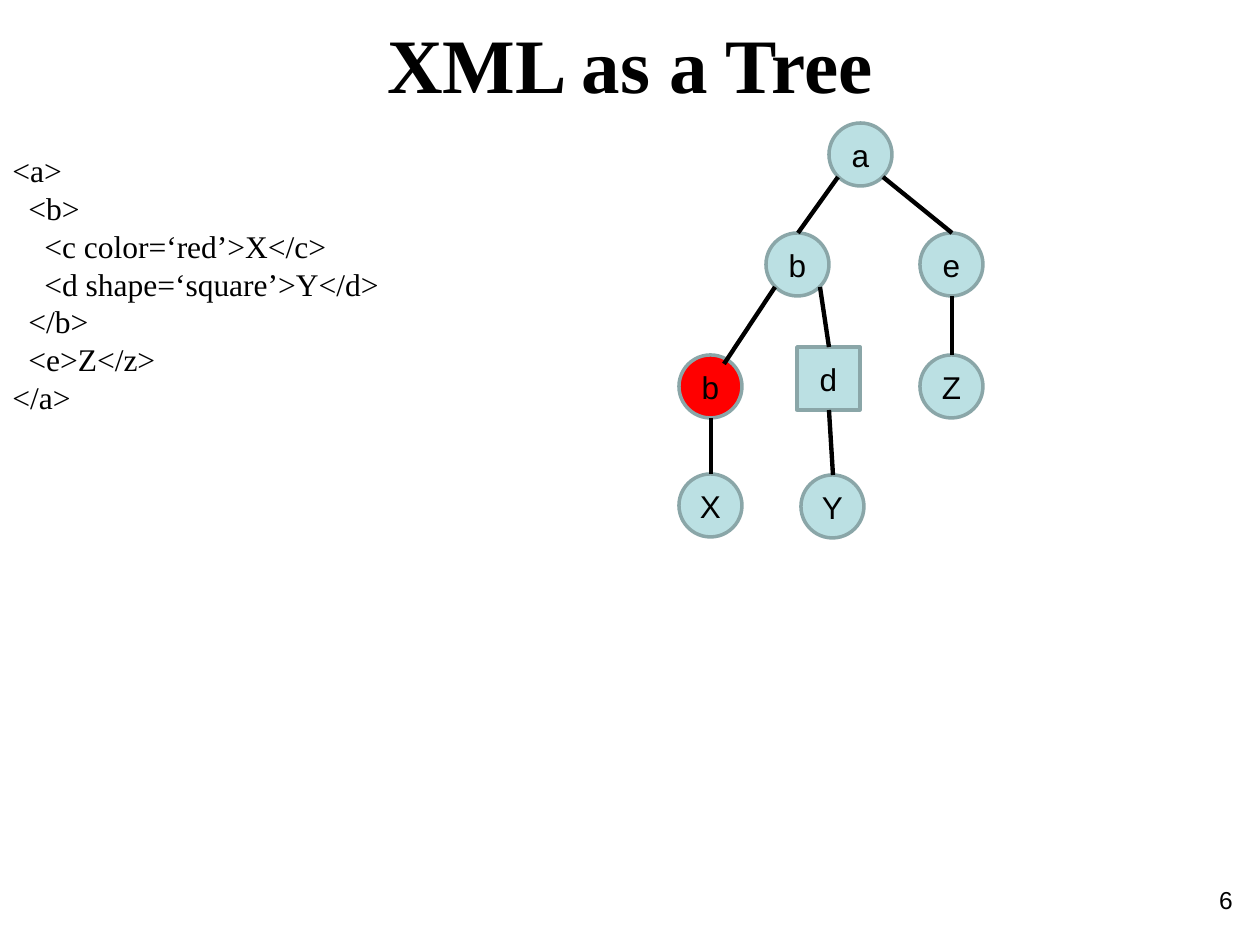
from lxml import etree
from pptx import Presentation
from pptx.dml.color import RGBColor
from pptx.enum import shapes, text
from pptx.oxml import ns
from pptx.util import Emu, Pt

BLACK = RGBColor(0, 0, 0)
TEAL = RGBColor(0xBB, 0xE0, 0xE3)
RED = RGBColor(0xFF, 0, 0)
EDGE = RGBColor(0x8A, 0xA6, 0xA8)
SERIF, SANS = "Times New Roman", "Arial"
SIZE = 63   # node width
STEP = 16   # code indent per level

OVAL, RECT = shapes.MSO_SHAPE.OVAL, shapes.MSO_SHAPE.RECTANGLE

# Nodes: key, label, left, top, form, fill
NODES = [
    ("a", "a", 150, 0, OVAL, TEAL),
    ("b", "b", 87, 110, OVAL, TEAL),
    ("e", "e", 241, 110, OVAL, TEAL),
    ("z", "Z", 241, 232, OVAL, TEAL),
    ("c", "b", 0, 232, OVAL, RED),
    ("x", "X", 0, 351, OVAL, TEAL),
    ("y", "Y", 122, 352, OVAL, TEAL),
    ("d", "d", 118, 224, RECT, TEAL),
]
# Points on a node, as shares of its size
SITES = {"n": (0.5, 0), "s": (0.5, 1), "sw": (0.15, 0.85),
         "se": (0.85, 0.85), "ne": (0.72, 0.15)}
LINKS = [("a", "sw", "b", "n"), ("a", "se", "e", "n"), ("e", "s", "z", "n"),
         ("b", "sw", "c", "ne"), ("c", "s", "x", "n"), ("d", "s", "y", "n"),
         ("b", "se", "d", "n")]
# Code: indent level, line
CODE = [(0, "<a>"), (1, "<b>"), (2, "<c color=‘red’>X</c>"),
        (2, "<d shape=‘square’>Y</d>"), (1, "</b>"), (1, "<e>Z</z>"),
        (0, "</a>")]


def px(n):
    return Emu(round(n * 914400 / 126))


def style(par, size, face, align, bold=False):
    par.alignment = align
    font = par.font
    font.size, font.name, font.bold = Pt(size), face, bold
    font.color.rgb = BLACK


def head(slide, x, y, w, h):
    title = slide.shapes.title
    title.left, title.top, title.width, title.height = map(px, (x, y, w, h))
    frame = title.text_frame
    frame.text = "XML as a Tree"
    frame.auto_size = text.MSO_AUTO_SIZE.NONE
    frame.vertical_anchor = text.MSO_ANCHOR.BOTTOM
    style(frame.paragraphs[0], 44, SERIF, text.PP_ALIGN.CENTER, True)


def code(slide, x, y, w, h):
    frame = slide.shapes.add_textbox(*map(px, (x, y, w, h))).text_frame
    frame.word_wrap = True
    frame.text = "\n".join(line for _, line in CODE)
    for par, (level, _) in zip(frame.paragraphs, CODE):
        style(par, 18, SERIF, text.PP_ALIGN.LEFT)
        par.line_spacing = Pt(21.6)
        par._p.get_or_add_pPr().set("marL", str(px(level * STEP)))


def node(slide, x, y, label, form, fill):
    shape = slide.shapes.add_shape(form, *map(px, (x, y, SIZE, SIZE)))
    shape.shadow.inherit = False
    shape.fill.solid()
    shape.fill.fore_color.rgb = fill
    shape.line.color.rgb = EDGE
    shape.line.width = Pt(2)
    frame = shape.text_frame
    frame.margin_left = frame.margin_right = 0
    frame.word_wrap = False
    frame.vertical_anchor = text.MSO_ANCHOR.MIDDLE
    frame.text = label
    style(frame.paragraphs[0], 18, SANS, text.PP_ALIGN.CENTER)


def link(slide, start, end):
    line = slide.shapes.add_connector(
        shapes.MSO_CONNECTOR.STRAIGHT, *map(px, start + end))
    line.line.color.rgb = BLACK
    line.line.width = Pt(2.5)
    etree.SubElement(line._element.spPr, ns.qn("a:effectLst"))


def tree(slide, x, y):
    spots = {}
    for key, label, dx, dy, form, fill in NODES:
        spots[key] = (x + dx, y + dy)
        node(slide, x + dx, y + dy, label, form, fill)

    def site(key, side):
        return tuple(p + round(s * SIZE)
                     for p, s in zip(spots[key], SITES[side]))

    for top, out, low, into in LINKS:
        link(slide, site(top, out), site(low, into))


def number(slide, x, y, w, h):
    frame = slide.shapes.add_textbox(*map(px, (x, y, w, h))).text_frame
    frame.word_wrap = True
    frame.text = "6"
    style(frame.paragraphs[0], 14, SANS, text.PP_ALIGN.RIGHT)


deck = Presentation()
deck.slide_width, deck.slide_height = px(1260), px(945)
page = deck.slides.add_slide(deck.slide_layouts[5])
head(page, 0, 9, 1260, 106)
number(page, 951, 879, 294, 66)
code(page, 0, 145, 478, 280)
tree(page, 679, 123)
deck.save("out.pptx")
